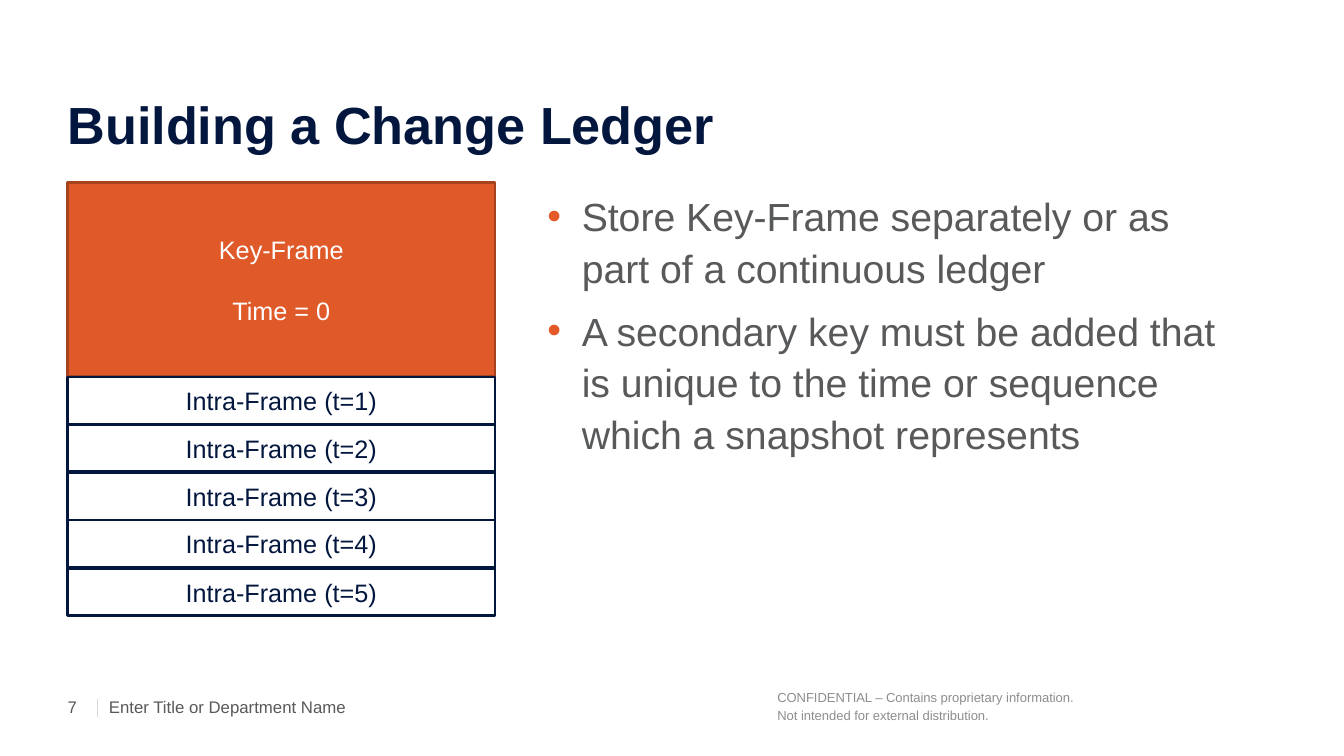
import pptx
import pptx.dml.color
import pptx.enum.shapes
import pptx.enum.text
import pptx.util
from lxml import etree
from pptx.oxml.ns import qn

RGB = pptx.dml.color.RGBColor
NAVY = RGB(0x03, 0x17, 0x3E)
ORANGE = RGB(0xE0, 0x59, 0x29)
BULLET = RGB(0xE3, 0x59, 0x29)
RUST = RGB(0xA6, 0x42, 0x1E)
GRAY = RGB(0x58, 0x59, 0x5B)
LIGHT_GRAY = RGB(0x8C, 0x8D, 0x8D)
RULE = RGB(0xD9, 0xD9, 0xD6)
WHITE = RGB(0xFF, 0xFF, 0xFF)

Pt = pptx.util.Pt
ALIGN = pptx.enum.text.PP_ALIGN
ANCHOR = pptx.enum.text.MSO_ANCHOR
EMU_PER_PX = 9144  # 100 px to the inch


def px(n):
    return pptx.util.Emu(n * EMU_PER_PX)


def place(sp, box):
    for name, n in zip(("left", "top", "width", "height"), box):
        setattr(sp, name, px(n))


def write(sp, lines, size, color, bold=False, anchor=ANCHOR.MIDDLE,
          margins=(10, 5, 10, 5), **paragraph):
    """Fill a shape with one paragraph per line; extra keywords format the paragraphs."""
    tf = sp.text_frame
    frame = {"word_wrap": True, "vertical_anchor": anchor,
             "auto_size": pptx.enum.text.MSO_AUTO_SIZE.NONE}
    for side, n in zip(("left", "top", "right", "bottom"), margins):
        frame["margin_" + side] = px(n)
    for name, value in frame.items():
        setattr(tf, name, value)
    for i, line in enumerate(lines):
        p = tf.paragraphs[0] if i == 0 else tf.add_paragraph()
        for name, value in ({"alignment": ALIGN.LEFT} | paragraph).items():
            setattr(p, name, value)
        r = p.add_run()
        r.text = line
        for name, value in {"name": "Arial", "size": Pt(size), "bold": bold}.items():
            setattr(r.font, name, value)
        r.font.color.rgb = color
    return tf


def add_title(s, box):
    sp = s.shapes.title
    place(sp, box)
    write(sp, ["Building a Change Ledger"], 37.3, NAVY, bold=True,
          anchor=ANCHOR.BOTTOM, margins=(0, 0, 0, 0))


def add_bullets(s, box):
    sp = s.placeholders[1]
    place(sp, box)
    tf = write(sp, ["Store Key-Frame separately or as part of a continuous ledger",
                    "A secondary key must be added that is unique to the time or "
                    "sequence which a snapshot represents"],
               28, GRAY, anchor=ANCHOR.TOP, line_spacing=1.1,
               space_before=Pt(0), space_after=Pt(8))
    for p in tf.paragraphs:
        pPr = p._p.get_or_add_pPr()
        pPr.set("marL", str(px(34)))
        pPr.set("indent", str(px(-34)))
        color = etree.SubElement(pPr, qn("a:buClr"))
        etree.SubElement(color, qn("a:srgbClr"), val=str(BULLET))
        etree.SubElement(pPr, qn("a:buChar"), char="•")


def add_frame(s, box, lines, fill, line, color):
    sp = s.shapes.add_shape(pptx.enum.shapes.MSO_SHAPE.RECTANGLE, *map(px, box))
    sp.shadow.inherit = False
    sp.fill.solid()
    sp.fill.fore_color.rgb = fill
    sp.line.color.rgb = line
    sp.line.width = Pt(2)
    return write(sp, lines, 18, color, alignment=ALIGN.CENTER)


def add_ledger(s, box, count=5):
    """Stack a key frame and equal rows of intra-frames in the box."""
    x, y, w, h = box
    key_h = 193
    tf = add_frame(s, (x, y, w, key_h), ["Key-Frame", "Time = 0"], ORANGE, RUST, WHITE)
    tf.paragraphs[1].space_before = Pt(22)
    row_h = (h - key_h) / count
    for i in range(count):
        top = round(y + key_h + i * row_h)
        add_frame(s, (x, top, w, round(row_h)), [f"Intra-Frame (t={i + 1})"],
                  WHITE, NAVY, NAVY)


def add_footer(s, box):
    x, y, w, h = box

    def label(left, top, width, height, lines, size, color, **options):
        sp = s.shapes.add_textbox(px(x + left), px(y + top), px(width), px(height))
        write(sp, lines, size, color, **options)

    label(0, 5, 28, 27, ["7"], 12, GRAY, margins=(0, 5, 0, 5))
    label(41, 5, 494, 27, ["Enter Title or Department Name"], 12, GRAY,
          margins=(0, 5, 10, 5))
    label(704, 0, 342, h, ["CONFIDENTIAL – Contains proprietary information.",
                           "Not intended for external distribution."],
          9.3, LIGHT_GRAY, anchor=ANCHOR.TOP, margins=(0, 0, 0, 0), line_spacing=1.1)
    rule = s.shapes.add_connector(pptx.enum.shapes.MSO_CONNECTOR.STRAIGHT,
                                  px(x + 30), px(y + 10), px(x + 30), px(y + 28))
    rule.line.color.rgb = RULE
    rule.line.width = Pt(0.75)
    etree.SubElement(rule._element.spPr, qn("a:effectLst"))


def main():
    prs = pptx.Presentation()
    prs.slide_width, prs.slide_height = px(1333), px(750)
    s = prs.slides.add_slide(prs.slide_layouts[1])
    add_title(s, (67, 36, 1200, 118))
    add_ledger(s, (67, 181, 424, 430))
    add_bullets(s, (533, 181, 683, 430))
    add_footer(s, (67, 683, 1200, 36))
    prs.save("out.pptx")


if __name__ == "__main__":
    main()
